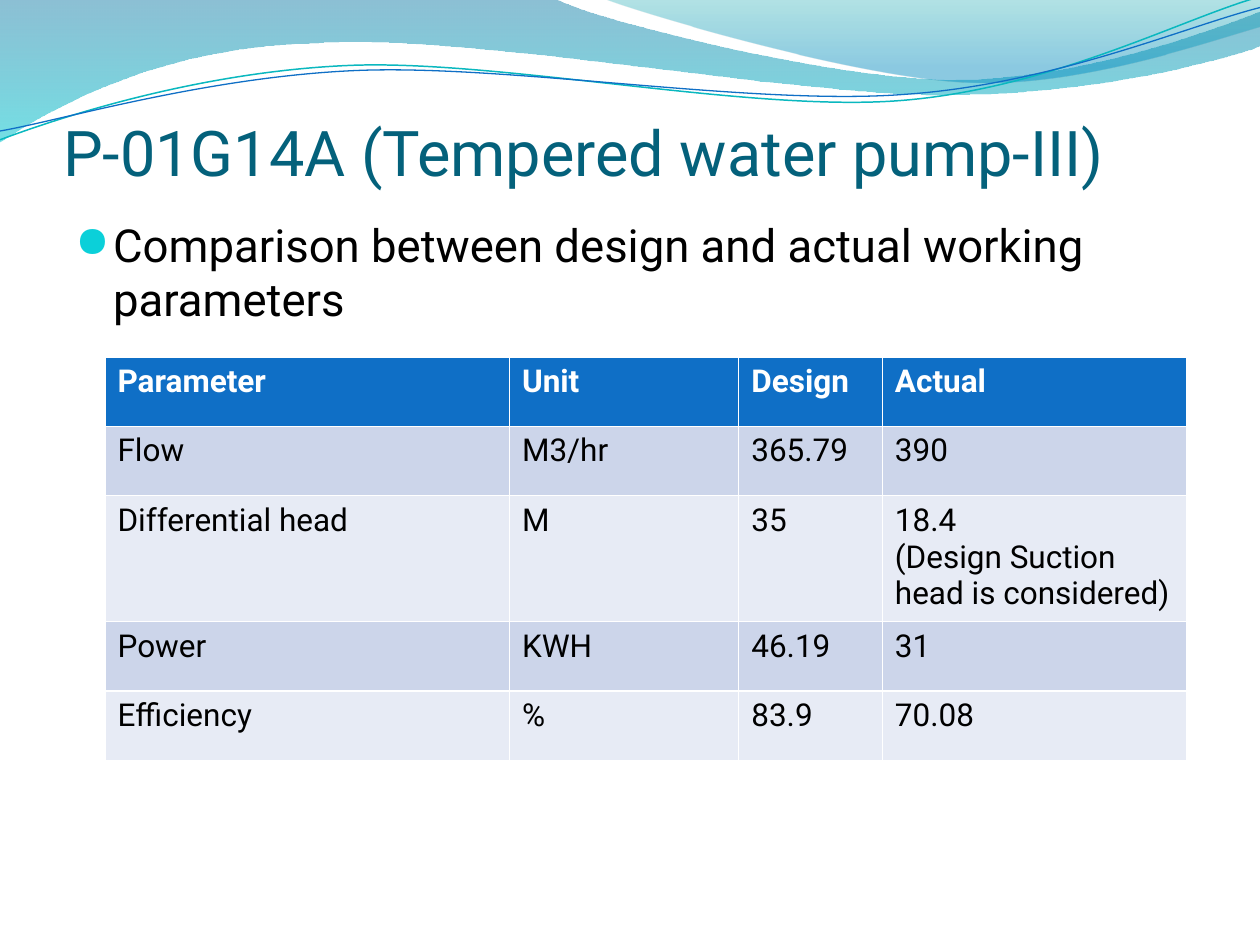
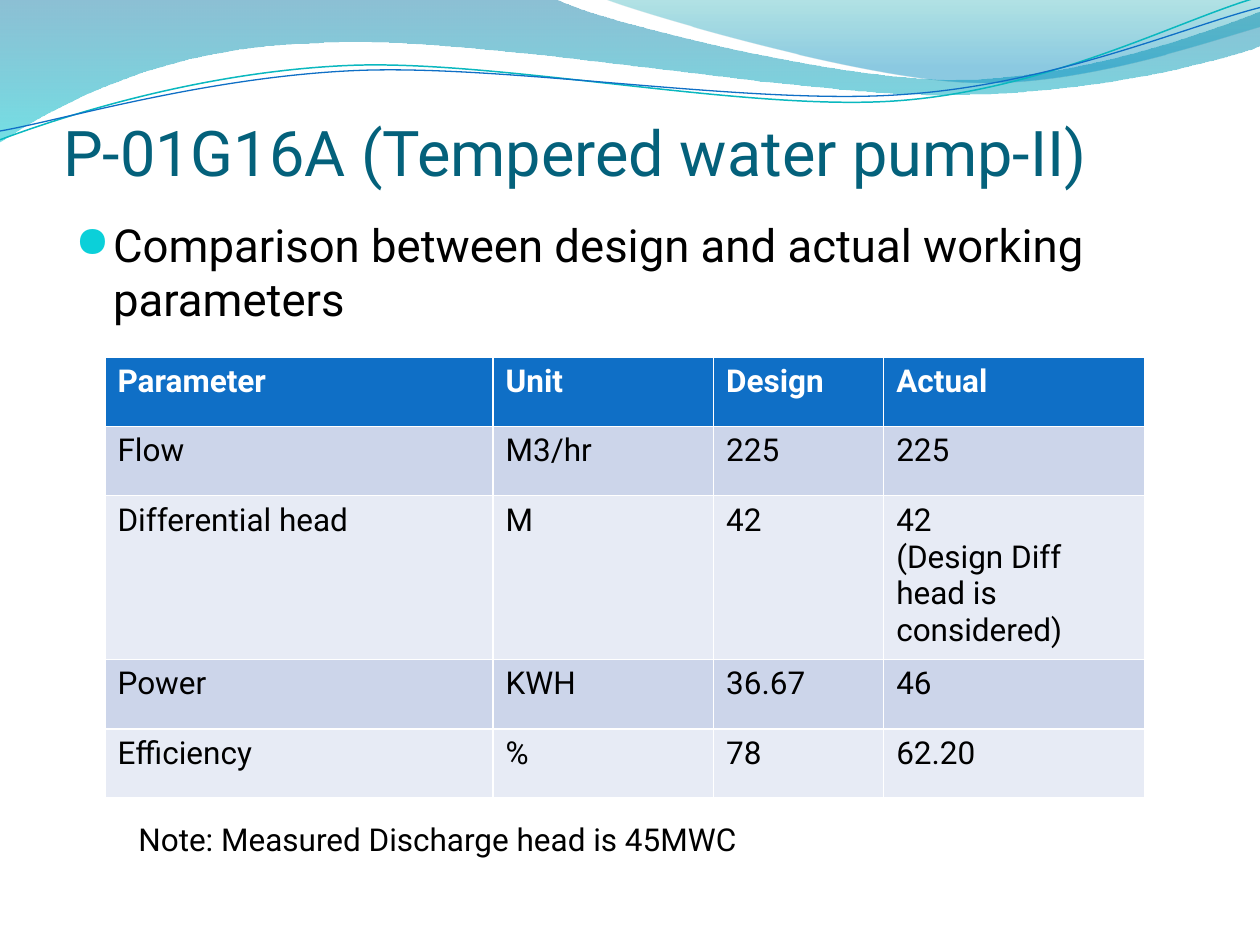
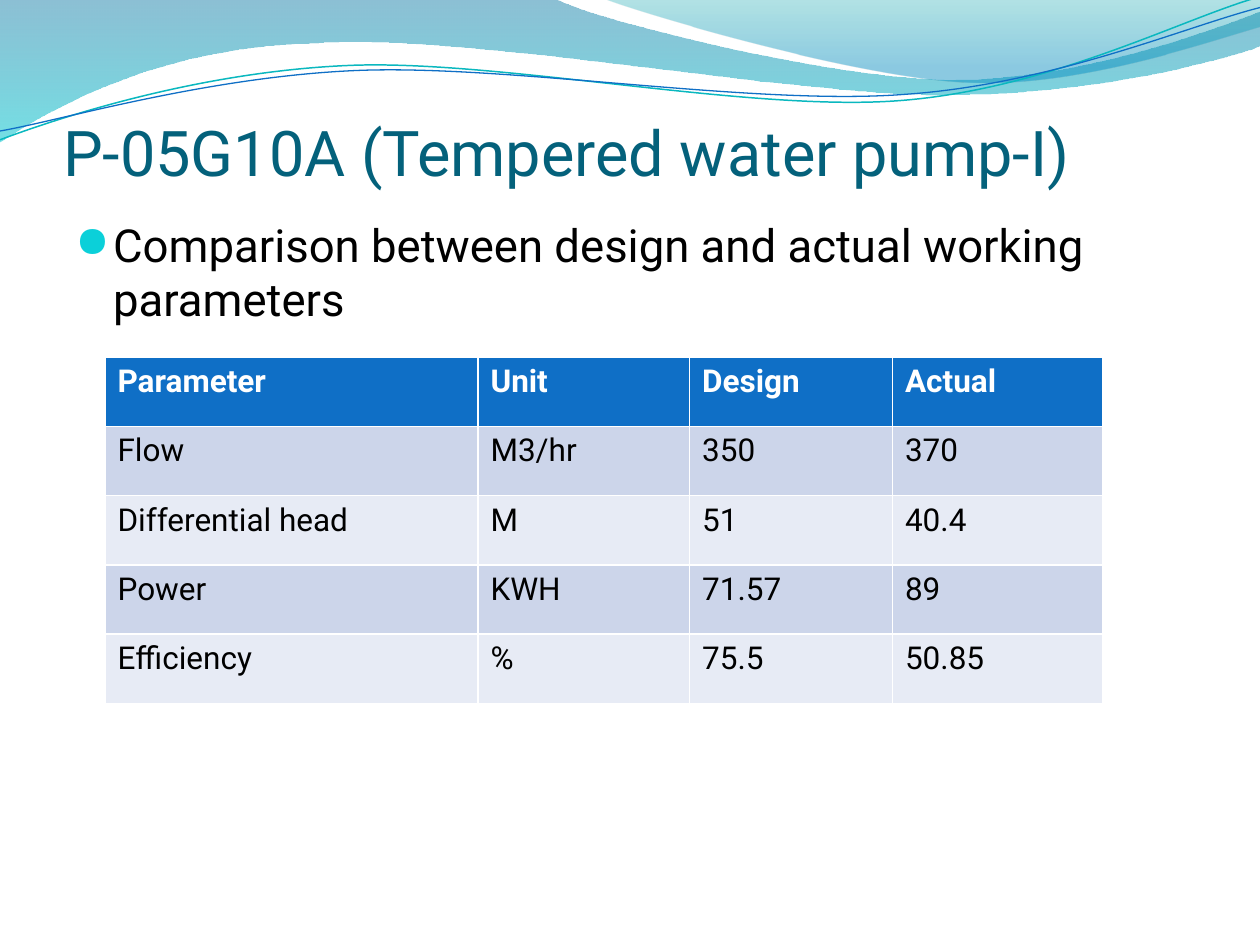
import dataclasses

import lxml.etree
import pptx
import pptx.dml.color
import pptx.enum.text
import pptx.oxml.ns
import pptx.util

Inches = pptx.util.Inches
Pt = pptx.util.Pt
qn = pptx.oxml.ns.qn


@dataclasses.dataclass(frozen=True)
class Theme:
    font: str = "Roboto"
    bullet_font: str = "OpenSymbol"
    title_size: int = 36
    body_size: int = 26
    table_size: int = 18
    title: str = "04617B"
    text: str = "000000"
    white: str = "FFFFFF"
    bullet: str = "0BD0D9"
    header: str = "0F6FC6"
    bands: tuple = ("CCD5EA", "E7EBF5")


THEME = Theme()

# Wave outlines: a start point, then lines (2 numbers) or curves (6 numbers)
BROAD_WAVE = [(0, 0), (4.4, -0.01), (4.76, 0.17, 6.64, 0.63, 7.58, 0.63),
              (8.53, 0.63, 9.58, 0.26, 10, 0.09), (10.01, 0.36),
              (9.83, 0.44, 8.7, 0.76, 7.46, 0.75),
              (6.22, 0.75, 3.82, 0.28, 2.57, 0.34),
              (1.29, 0.36, 0.46, 0.83, -0.01, 1.13), (0, 0)]
RIGHT_WAVE = [(4.79, -0.01), (5.09, 0.11, 6.82, 0.62, 7.69, 0.65),
              (8.56, 0.69, 9.61, 0.32, 10, 0.21), (10, 0), (4.79, -0.01)]
TEAL_THREAD = [(0, 1.11), (0.48, 0.93, 1.58, 0.57, 2.77, 0.52),
               (3.95, 0.47, 5.93, 0.89, 7.13, 0.8),
               (8.33, 0.71, 9.38, 0.15, 9.98, -0.02)]
BLUE_THREAD = [(0, 1.04), (0.47, 0.96, 1.64, 0.61, 2.83, 0.56),
               (4.03, 0.51, 5.97, 0.84, 7.17, 0.75),
               (8.36, 0.67, 9.41, 0.21, 10, 0.06)]

# Gradient stops: position, colour, opacity in percent
FILLED_WAVES = [(BROAD_WAVE, [(0, "0074A1", 45), (1, "00C6CF", 55)]),
                (RIGHT_WAVE, [(0, "00A1A9", 30), (0.8, "008BBF", 45)])]
THREADS = [(TEAL_THREAD, "0AB8BF", 0.85), (BLUE_THREAD, "0F6FC6", 0.75)]

HEADINGS = ("Parameter", "Unit", "Design", "Actual")
PARAMETERS = (("Flow", "M3/hr"), ("Differential head", "M"),
              ("Power", "KWH"), ("Efficiency", "%"))
SUBTITLE = "Comparison between design and actual working parameters"


@dataclasses.dataclass(frozen=True)
class Pump:
    title: str
    widths: tuple
    readings: tuple  # design and actual value of each parameter
    note: str = ""


PUMPS = (
    Pump("P-01G14A (Tempered water pump-III)", (3.21, 1.82, 1.14, 2.42),
         (("365.79", "390"),
          ("35", "18.4\n(Design Suction head is considered)"),
          ("46.19", "31"), ("83.9", "70.08"))),
    Pump("P-01G16A (Tempered water pump-II)", (3.08, 1.75, 1.35, 2.07),
         (("225", "225"), ("42", "42\n(Design Diff head is considered)"),
          ("36.67", "46"), ("78", "62.20")),
         "Note: Measured Discharge head is 45MWC"),
    Pump("P-05G10A (Tempered water pump-I)", (2.96, 1.68, 1.61, 1.67),
         (("350", "370"), ("51", "40.4"), ("71.57", "89"), ("75.5", "50.85"))),
)


def rgb(value):
    return pptx.dml.color.RGBColor.from_string(value)


def write(paragraph, text, size, color, bold=False):
    run = paragraph.add_run()
    run.text = text
    run.font.name = THEME.font
    run.font.size = Pt(size)
    run.font.bold = bold
    run.font.color.rgb = rgb(color)


# Waves
def add_outline(slide, outline, close):
    """Draw the outline through its end points, then bend its curved parts."""
    start, *ends = [(Inches(part[-2]), Inches(part[-1])) for part in outline]
    builder = slide.shapes.build_freeform(*start)
    builder.add_line_segments(ends, close=close)
    wave = builder.convert_to_shape()
    wave.shadow.inherit = False
    segments = list(wave.element.iter(qn("a:lnTo")))
    for segment, part in zip(segments, outline[1:]):
        if len(part) == 6:
            curve = lxml.etree.Element(qn("a:cubicBezTo"))
            for x, y in zip(part[::2], part[1::2]):
                lxml.etree.SubElement(curve, qn("a:pt"), x=str(Inches(x) - wave.left),
                                      y=str(Inches(y) - wave.top))
            segment.getparent().replace(segment, curve)
    return wave


def add_filled_wave(slide, outline, stops):
    wave = add_outline(slide, outline, close=True)
    wave.line.fill.background()
    wave.fill.gradient()
    wave.fill.gradient_angle = 270
    for stop, (position, color, _) in zip(wave.fill.gradient_stops, stops):
        stop.position = position
        stop.color.rgb = rgb(color)
    for tint, (_, _, opacity) in zip(wave.element.iter(qn("a:srgbClr")), stops):
        lxml.etree.SubElement(tint, qn("a:alpha"), val=str(opacity * 1000))
    return wave


def add_thread(slide, outline, color, width):
    thread = add_outline(slide, outline, close=False)
    thread.fill.background()
    thread.line.color.rgb = rgb(color)
    thread.line.width = Pt(width)
    return thread


def add_waves_to_layout(slide):
    """Draw the waves once and hand them to the layout behind all slides."""
    waves = [add_filled_wave(slide, *wave) for wave in FILLED_WAVES]
    waves += [add_thread(slide, *thread) for thread in THREADS]
    for position, wave in enumerate(waves, start=2):
        slide.slide_layout.shapes.element.insert(position, wave.element)


# Text
def set_title(slide, text):
    title = slide.shapes.title
    title.left, title.top = Inches(0.5), Inches(0.25)
    title.width, title.height = Inches(9), Inches(1.25)
    frame = title.text_frame
    frame.auto_size = pptx.enum.text.MSO_AUTO_SIZE.NONE
    frame.vertical_anchor = pptx.enum.text.MSO_ANCHOR.BOTTOM
    frame.margin_left = frame.margin_right = frame.margin_bottom = 0
    frame.margin_top = Inches(0.05)
    heading = frame.paragraphs[0]
    heading.alignment = pptx.enum.text.PP_ALIGN.LEFT
    write(heading, text, THEME.title_size, THEME.title)


def add_text(slide, left, top, width, height, text, size):
    frame = slide.shapes.add_textbox(
        Inches(left), Inches(top), Inches(width), Inches(height)).text_frame
    frame.word_wrap = True
    write(frame.paragraphs[0], text, size, THEME.text)
    return frame.paragraphs[0]


def add_bullet(paragraph):
    properties = paragraph._p.get_or_add_pPr()
    properties.set("marL", str(Inches(0.3)))
    properties.set("indent", str(Inches(-0.3)))
    color = lxml.etree.SubElement(properties, qn("a:buClr"))
    lxml.etree.SubElement(color, qn("a:srgbClr"), val=THEME.bullet)
    lxml.etree.SubElement(properties, qn("a:buSzPct"), val="95000")
    lxml.etree.SubElement(properties, qn("a:buFont"), typeface=THEME.bullet_font)
    lxml.etree.SubElement(properties, qn("a:buChar"), char="●")


# Table: its white rules come from the default table style
def fill_cell(cell, text, row):
    is_header = row == 0
    cell.fill.solid()
    cell.fill.fore_color.rgb = rgb(THEME.header if is_header else THEME.bands[(row - 1) % 2])
    frame = cell.text_frame
    for index, line in enumerate(text.split("\n")):
        paragraph = frame.add_paragraph() if index else frame.paragraphs[0]
        write(paragraph, line, THEME.table_size,
              THEME.white if is_header else THEME.text, bold=is_header)


def add_readings(slide, pump):
    rows = [HEADINGS] + [name + values for name, values in zip(PARAMETERS, pump.readings)]
    row_height = 0.55
    table = slide.shapes.add_table(
        len(rows), len(HEADINGS), Inches(5 / 6), Inches(17 / 6),
        Inches(sum(pump.widths)), Inches(row_height * len(rows))).table
    for column, width in zip(table.columns, pump.widths):
        column.width = Inches(width)
    for row, texts in enumerate(rows):
        for column, text in enumerate(texts):
            fill_cell(table.cell(row, column), text, row)


def add_pump_slide(deck, layout, pump):
    slide = deck.slides.add_slide(layout)
    set_title(slide, pump.title)
    add_bullet(add_text(slide, 0.5, 1.67, 9, 5.25, SUBTITLE, THEME.body_size))
    add_readings(slide, pump)
    if pump.note:
        add_text(slide, 1, 6.46, 8.17, 0.4, pump.note, THEME.table_size)
    return slide


def main():
    deck = pptx.Presentation()
    deck.slide_width, deck.slide_height = Inches(10), Inches(7.5)
    title_only = deck.slide_layouts[5]
    slides = [add_pump_slide(deck, title_only, pump) for pump in PUMPS]
    add_waves_to_layout(slides[0])
    deck.save("out.pptx")


if __name__ == "__main__":
    main()
